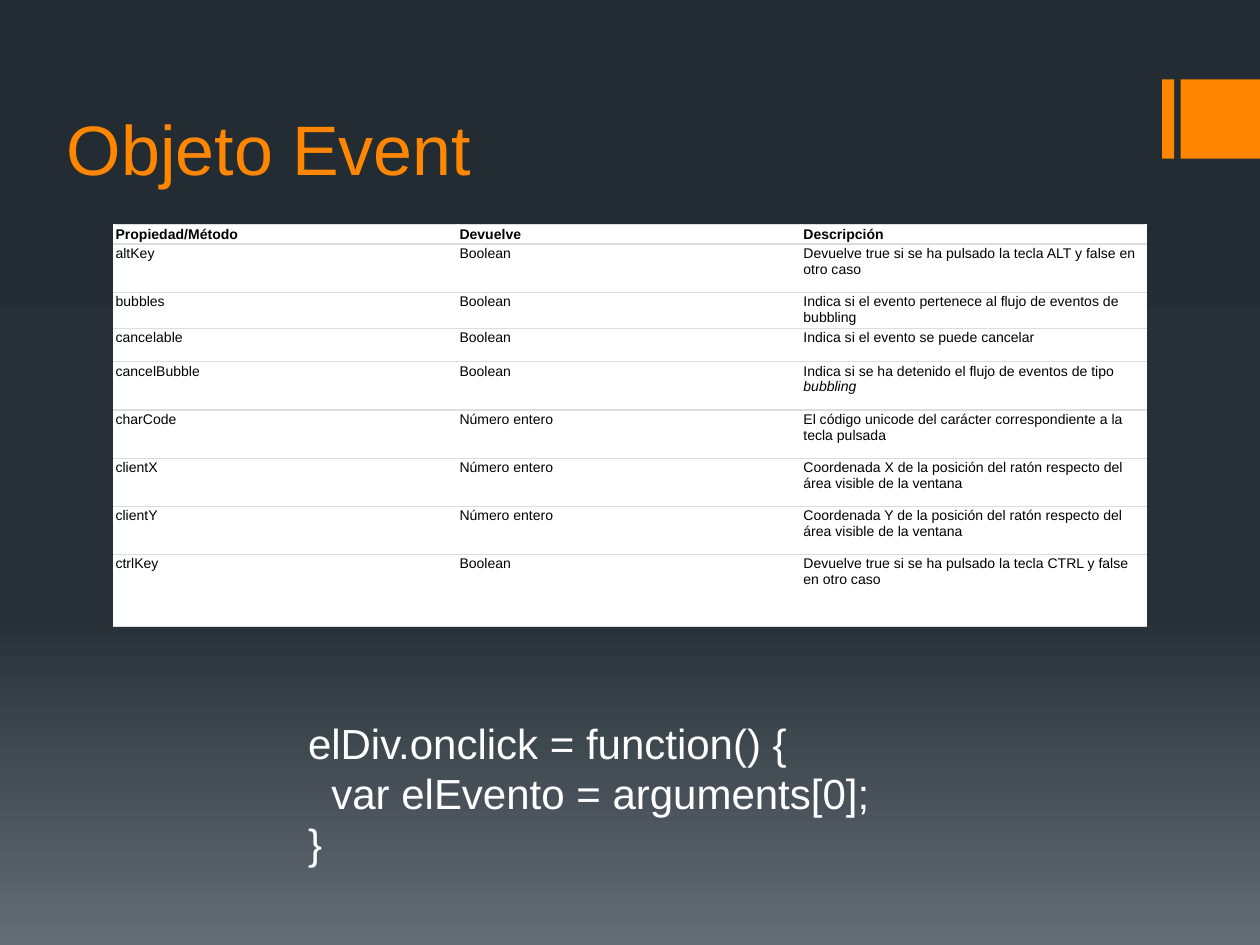
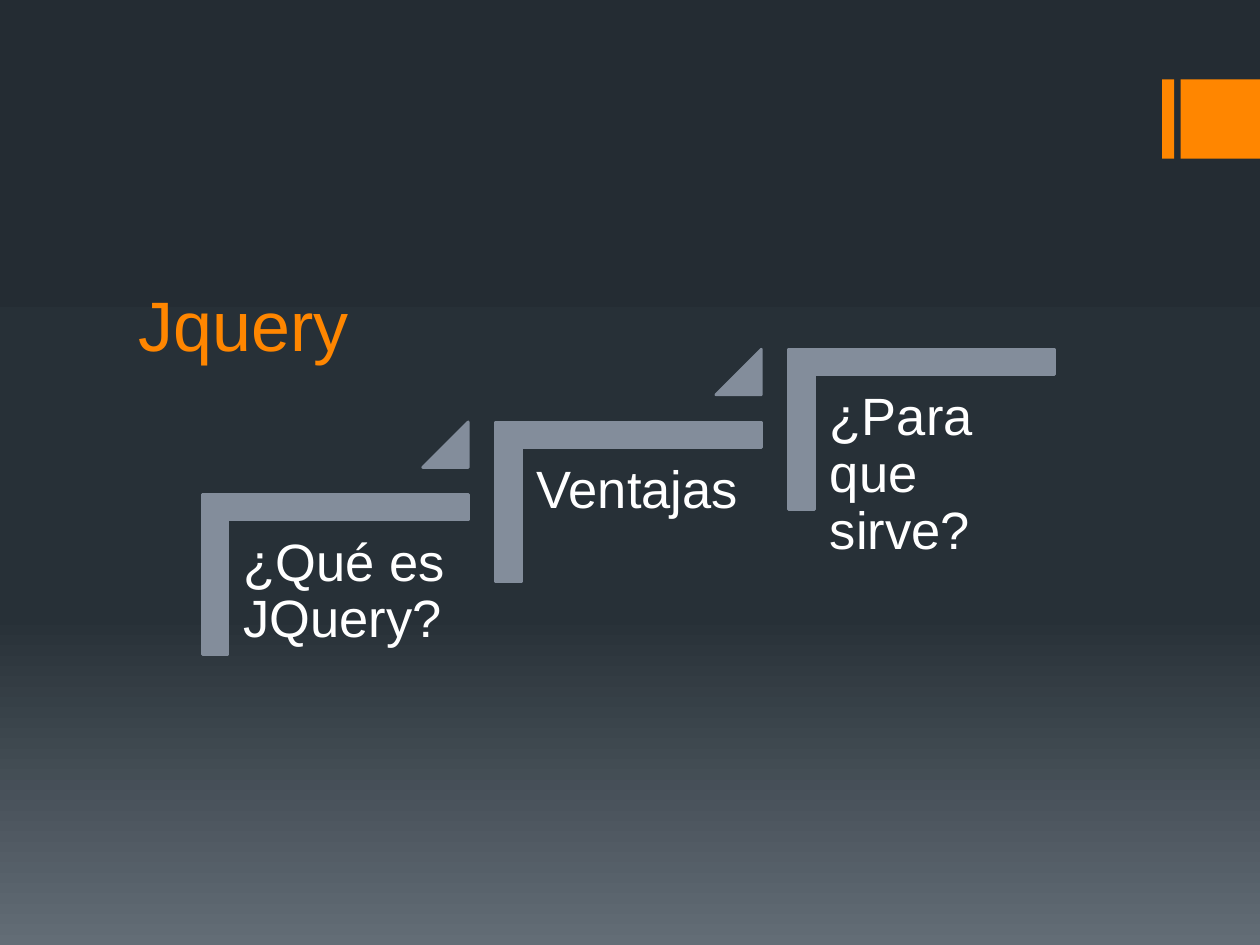
from copy import deepcopy

from lxml import etree
from pptx import Presentation
from pptx import util as u
from pptx.dml.color import RGBColor
from pptx.enum import shapes, text
from pptx.oxml.ns import qn

ORANGE, WHITE, BLACK = "FF8600", "FFFFFF", "000000"
STEP_GREY, RULE_GREY = "838D9B", "DDDDDD"
BACKDROP = [(0, "242C33"), (0.65, "273037"), (1, "636D76")]
FONT = "Arial"

HEADINGS = ["Propiedad/Método", "Devuelve", "Descripción"]
# Each description is a list of (text, italic) spans.
PROPERTIES = [
    ("altKey", "Boolean",
     [("Devuelve true si se ha pulsado la tecla ALT y false en otro caso", False)]),
    ("bubbles", "Boolean",
     [("Indica si el evento pertenece al flujo de eventos de bubbling", False)]),
    ("cancelable", "Boolean",
     [("Indica si el evento se puede cancelar", False)]),
    ("cancelBubble", "Boolean",
     [("Indica si se ha detenido el flujo de eventos de tipo ", False),
      ("bubbling", True)]),
    ("charCode", "Número entero",
     [("El código unicode del carácter correspondiente a la tecla pulsada", False)]),
    ("clientX", "Número entero",
     [("Coordenada X de la posición del ratón respecto del área visible de la ventana", False)]),
    ("clientY", "Número entero",
     [("Coordenada Y de la posición del ratón respecto del área visible de la ventana", False)]),
    ("ctrlKey", "Boolean",
     [("Devuelve true si se ha pulsado la tecla CTRL y false en otro caso", False)]),
]
ROW_HEIGHTS = [0.37, 0.97, 0.66, 0.67, 0.97, 0.97, 0.97, 0.97, 1.45]
# Each line of code comes with its indent in cm.
CODE = [("elDiv.onclick = function() {", 0),
        ("var elEvento = arguments[0];", 0.47),
        ("}", 0)]
STEPS = ["¿Qué es JQuery?", "Ventajas", "¿Para que sirve?"]


def rgb(value):
    return RGBColor.from_string(value)


def cm_box(*lengths):
    return [u.Cm(length) for length in lengths]


def add_span(para, words, size, color, bold=False, italic=False):
    span = para.add_run()
    span.text = words
    font = span.font
    font.name, font.size, font.color.rgb = FONT, u.Pt(size), rgb(color)
    font.bold, font.italic = bold, italic


def set_insets(frame, inset):
    """Give a text frame or a table cell the same inset on all sides."""
    frame.margin_left = frame.margin_right = u.Cm(inset)
    frame.margin_top = frame.margin_bottom = u.Cm(inset)


def add_text_frame(page, box):
    frame = page.shapes.add_textbox(*cm_box(*box)).text_frame
    frame.word_wrap = True
    return frame


def add_solid(page, kind, box, color, line_width=0):
    solid = page.shapes.add_shape(kind, *cm_box(*box))
    solid.shadow.inherit = False
    solid.fill.solid()
    solid.fill.fore_color.rgb = rgb(color)
    if line_width:
        solid.line.color.rgb = rgb(color)
        solid.line.width = u.Pt(line_width)
    else:
        solid.line.fill.background()
    return solid


def paint_backdrop(master):
    fill = master.background.fill
    fill.gradient()
    fill.gradient_angle = 270
    stop_list = master.element.find(".//" + qn("a:gsLst"))
    stop_list.append(deepcopy(stop_list[-1]))
    for stop, (position, color) in zip(fill.gradient_stops, BACKDROP):
        stop.position, stop.color.rgb = position, rgb(color)


def add_page(deck, title, title_box):
    """Add a slide with the orange corner bands and a title."""
    page = deck.slides.add_slide(deck.slide_layouts[6])
    for left, width in [(23.43, 0.24), (23.8, 1.6)]:
        add_solid(page, shapes.MSO_SHAPE.RECTANGLE, (left, 1.6, width, 1.6), ORANGE)
    frame = add_text_frame(page, title_box)
    frame.vertical_anchor = text.MSO_ANCHOR.BOTTOM
    add_span(frame.paragraphs[0], title, 40, ORANGE)
    return page


def rule_cell(cell):
    """Draw thin grey lines above and below a cell."""
    properties = cell._tc.get_or_add_tcPr()
    for index, side in enumerate(["a:lnT", "a:lnB"]):
        line = etree.Element(qn(side), w=str(u.Pt(0.75)))
        paint = etree.SubElement(line, qn("a:solidFill"))
        etree.SubElement(paint, qn("a:srgbClr"), val=RULE_GREY)
        properties.insert(index, line)


def add_property_table(page, box):
    rows = [[[(heading, False)] for heading in HEADINGS]]
    rows += [[[(name, False)], [(kind, False)], about] for name, kind, about in PROPERTIES]
    table = page.shapes.add_table(len(rows), len(HEADINGS), *cm_box(*box)).table
    table.first_row = table.horz_banding = False
    for column in table.columns:
        column.width = u.Cm(box[2] / len(HEADINGS))
    for row_index, row in enumerate(rows):
        table.rows[row_index].height = u.Cm(ROW_HEIGHTS[row_index])
        is_heading = row_index == 0
        for column_index, spans in enumerate(row):
            cell = table.cell(row_index, column_index)
            set_insets(cell, 0.03)
            cell.vertical_anchor = text.MSO_ANCHOR.BOTTOM if is_heading else text.MSO_ANCHOR.TOP
            cell.fill.solid()
            cell.fill.fore_color.rgb = rgb(WHITE)
            rule_cell(cell)
            for words, italic in spans:
                add_span(cell.text_frame.paragraphs[0], words, 8, BLACK, is_heading, italic)


def add_code(page, box):
    frame = add_text_frame(page, box)
    for index, (line, indent) in enumerate(CODE):
        para = frame.add_paragraph() if index else frame.paragraphs[0]
        if indent:
            para._p.get_or_add_pPr().set("marL", str(u.Cm(indent)))
        add_span(para, line, 24, WHITE)


def add_step(page, box, label, rise, has_next):
    """Draw one stair: a corner bracket, its label and a wedge up to the next."""
    left, top, width, height = box
    shift = (width - height) / 2
    bracket = add_solid(page, shapes.MSO_SHAPE.CORNER,
                        (left + shift, top - shift, height, width), STEP_GREY, 1.5)
    bracket.rotation = 90
    bracket.adjustments[0] = bracket.adjustments[1] = 0.16

    frame = add_text_frame(page, (left + 0.53, top + 0.53, 4.83, 4.24))
    set_insets(frame, 0.3)
    para = frame.paragraphs[0]
    para.line_spacing = 0.9
    add_span(para, label, 30, WHITE)

    if has_next:
        size = 0.92
        wedge = add_solid(page, shapes.MSO_SHAPE.ISOSCELES_TRIANGLE,
                          (left + width - size, top - rise, size, size), STEP_GREY, 1.5)
        wedge.adjustments[0] = 1


def add_stairs(page, box):
    """Climb from the lower left to the upper right of the box."""
    left, top, width, height = box
    step_width, step_height = 5.36, 3.23
    gaps = len(STEPS) - 1
    pitch, rise = (width - step_width) / gaps, (height - step_height) / gaps
    for index, label in enumerate(STEPS):
        step_box = (left + index * pitch, top + (gaps - index) * rise, step_width, step_height)
        add_step(page, step_box, label, rise, index < gaps)


def main():
    deck = Presentation()
    deck.slide_width, deck.slide_height = u.Cm(25.4), u.Cm(19.05)
    paint_backdrop(deck.slide_master)

    event_page = add_page(deck, "Objeto Event", (1.1, 0.74, 20.32, 3.2))
    add_property_table(event_page, (2.3, 4.52, 20.8, sum(ROW_HEIGHTS)))
    add_code(event_page, (5.96, 14.33, 13.6, 3.33))

    jquery_page = add_page(deck, "Jquery", (2.54, 4.3, 20.32, 3.2))
    add_stairs(jquery_page, (4.08, 7.04, 17.18, 6.16))

    deck.save("out.pptx")


if __name__ == "__main__":
    main()
